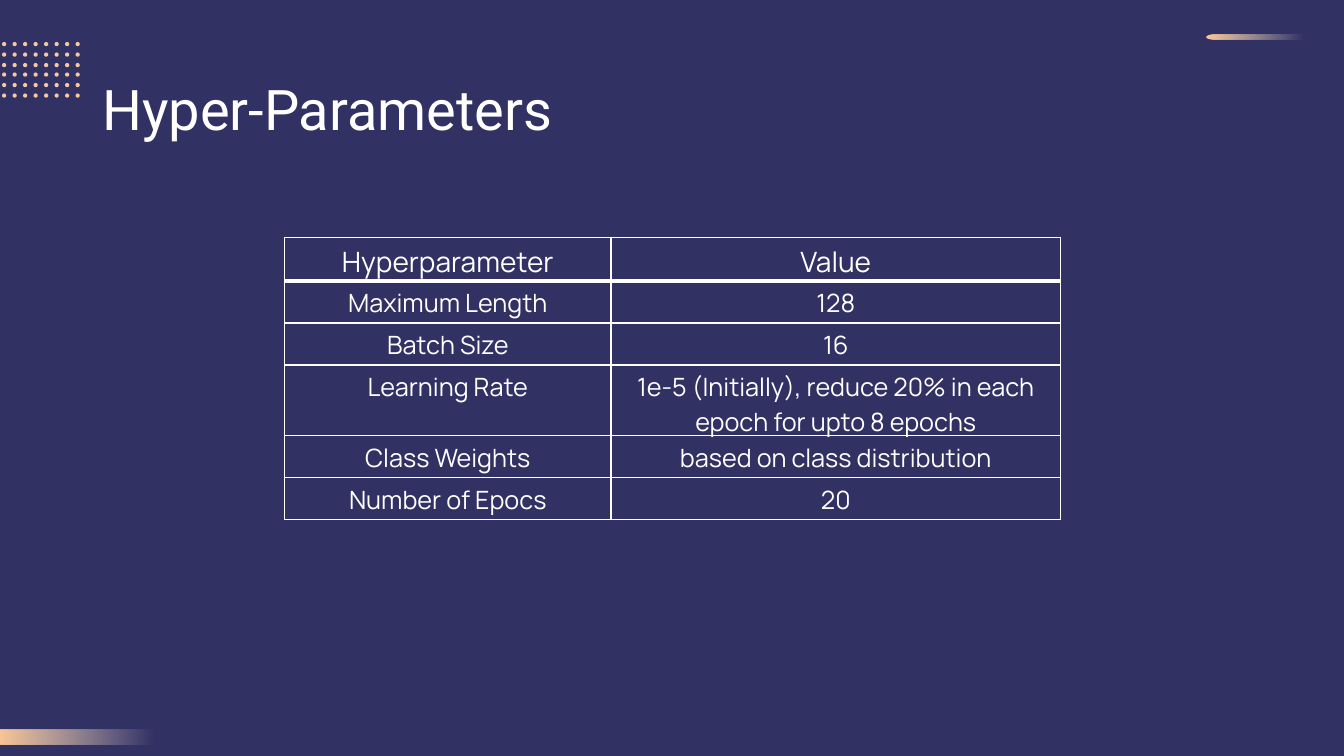
from dataclasses import dataclass
from math import cos, pi, sin

from lxml import etree
from pptx import Presentation
from pptx.dml.color import RGBColor
from pptx.enum.shapes import MSO_SHAPE
from pptx.enum.text import MSO_ANCHOR, PP_ALIGN
from pptx.oxml.ns import qn
from pptx.util import Emu, Pt

RECTANGLE = MSO_SHAPE.RECTANGLE
TOP = MSO_ANCHOR.TOP
MIDDLE = MSO_ANCHOR.MIDDLE
LEFT = PP_ALIGN.LEFT
CENTER = PP_ALIGN.CENTER

EMU_PER_PX = 9525
SLIDE_WIDTH, SLIDE_HEIGHT = 1280, 720
NAVY, WHITE = "323163", "FFFFFF"
APRICOT, CREAM, DOT_COLOR = "FCC896", "F7E7E1", "F7C7A0"
DOT_COLUMNS, DOT_ROWS, DOT_PITCH, DOT_SIZE = 8, 3, 10, 4
DOT_SIDES = 12
COLUMN_WIDTHS = (311, 428)
HEADER_HEIGHT, ROW_HEIGHT = 41, 40
THIN, THICK = 1, 3


@dataclass(frozen=True)
class Box:
    left: int
    top: int
    width: int
    height: int


@dataclass(frozen=True)
class Parameter:
    name: str
    value: str


HEADER = Parameter("Hyperparameter", "Value")
PARAMETERS = (
    Parameter("Maximum Length", "128"),
    Parameter("Batch Size", "16"),
    Parameter("Learning Rate", "1e-5 (Initially), reduce 20% in each epoch for upto 8 epochs"),
    Parameter("Class Weights", "based on class distribution"),
    Parameter("Number of Epocs", "20"),
)
BACKDROP = Box(0, 0, SLIDE_WIDTH, SLIDE_HEIGHT)
BOTTOM_STREAK = Box(-2, 695, 212, 14)
TOP_STREAK = Box(1149, 33, 131, 5)
DOT_BLOCKS = (Box(2, 40, 74, 24), Box(2, 69, 74, 24))
TITLE = Box(88, 38, 1104, 139)
TABLE = Box(271, 226, sum(COLUMN_WIDTHS), HEADER_HEIGHT + ROW_HEIGHT * len(PARAMETERS))


def px(length: float) -> Emu:
    return Emu(round(length * EMU_PER_PX))


def color(value: str) -> RGBColor:
    return RGBColor.from_string(value)


def bounds(box: Box) -> tuple:
    return px(box.left), px(box.top), px(box.width), px(box.height)


def finish(shape) -> None:
    shape.line.fill.background()
    shape.shadow.inherit = False


def fill_solid(shape, value: str) -> None:
    shape.fill.solid()
    shape.fill.fore_color.rgb = color(value)
    finish(shape)


def fill_fade(shape) -> None:
    shape.fill.gradient()
    shape.fill.gradient_angle = 0
    for stop, position, value in zip(shape.fill.gradient_stops, (0, 0.7), (APRICOT, CREAM)):
        stop.position = position
        stop.color.rgb = color(value)
    faded = shape.element.spPr.findall(".//" + qn("a:srgbClr"))[-1]
    etree.SubElement(faded, qn("a:alpha"), val="0")
    finish(shape)


def add_rectangle(slide, box: Box):
    return slide.shapes.add_shape(RECTANGLE, *bounds(box))


def add_outline(slide, contours: list):
    builder = None
    for contour in contours:
        start, *others = [(px(x), px(y)) for x, y in contour]
        if builder is None:
            builder = slide.shapes.build_freeform(*start, scale=1.0)
        else:
            builder.move_to(*start)
        builder.add_line_segments(others, close=True)
    return builder.convert_to_shape()


def add_top_streak(slide, box: Box) -> None:
    radius = box.height / 2
    tip = 8
    right = box.left + box.width
    curve = [
        (box.left + tip - tip * sin(pi * step / 12), box.top + radius - radius * cos(pi * step / 12))
        for step in range(13)
    ]
    outline = curve + [(right, box.top + box.height), (right, box.top)]
    fill_fade(add_outline(slide, [outline]))


def dot_contour(center_x: float, center_y: float) -> list:
    angles = [2 * pi * side / DOT_SIDES for side in range(DOT_SIDES)]
    radius = DOT_SIZE / 2
    return [(center_x + radius * cos(angle), center_y + radius * sin(angle)) for angle in angles]


def add_dots(slide, box: Box) -> None:
    middle = DOT_SIZE / 2
    contours = [
        dot_contour(box.left + middle + column * DOT_PITCH, box.top + middle + row * DOT_PITCH)
        for row in range(DOT_ROWS)
        for column in range(DOT_COLUMNS)
    ]
    fill_solid(add_outline(slide, contours), DOT_COLOR)


def write(paragraph, text: str, font_name: str, size: int, alignment) -> None:
    paragraph.alignment = alignment
    run = paragraph.add_run()
    run.text = text
    run.font.color.rgb = color(WHITE)
    for attribute, value in {"name": font_name, "size": Pt(size), "bold": False}.items():
        setattr(run.font, attribute, value)


def add_title(slide, box: Box, text: str) -> None:
    frame = slide.shapes.add_textbox(*bounds(box)).text_frame
    for attribute, value in {"word_wrap": True, "vertical_anchor": MIDDLE}.items():
        setattr(frame, attribute, value)
    paragraph = frame.paragraphs[0]
    paragraph.line_spacing = 0.9
    write(paragraph, text, "Roboto", 40, LEFT)


def set_borders(cell, widths: dict) -> None:
    properties = cell._tc.get_or_add_tcPr()
    for side, width in widths.items():
        line = etree.SubElement(properties, qn(f"a:ln{side}"), w=str(Pt(width)))
        fill = etree.SubElement(line, qn("a:solidFill"))
        etree.SubElement(fill, qn("a:srgbClr"), val=WHITE)


def add_parameter_table(slide, box: Box) -> None:
    rows = (HEADER, *PARAMETERS)
    table = slide.shapes.add_table(len(rows), len(COLUMN_WIDTHS), *bounds(box)).table
    for attribute in ("first_row", "horz_banding"):
        setattr(table, attribute, False)
    for column, width in zip(table.columns, COLUMN_WIDTHS):
        column.width = px(width)
    for row_index, parameter in enumerate(rows):
        is_header = row_index == 0
        table.rows[row_index].height = px(HEADER_HEIGHT if is_header else ROW_HEIGHT)
        widths = {
            "L": THIN,
            "R": THIN,
            "T": THICK if row_index == 1 else THIN,
            "B": THICK if is_header else THIN,
        }
        for column_index, text in enumerate((parameter.name, parameter.value)):
            cell = table.cell(row_index, column_index)
            cell.vertical_anchor = TOP if is_header or column_index == 0 else MIDDLE
            set_borders(cell, widths)
            cell.fill.background()
            write(cell.text_frame.paragraphs[0], text, "Manrope", 20 if is_header else 18, CENTER)


def main() -> None:
    presentation = Presentation()
    presentation.slide_width = px(SLIDE_WIDTH)
    presentation.slide_height = px(SLIDE_HEIGHT)
    slide = presentation.slides.add_slide(presentation.slide_layouts[6])
    fill_solid(add_rectangle(slide, BACKDROP), NAVY)
    fill_fade(add_rectangle(slide, BOTTOM_STREAK))
    add_top_streak(slide, TOP_STREAK)
    for block in DOT_BLOCKS:
        add_dots(slide, block)
    add_title(slide, TITLE, "Hyper-Parameters")
    add_parameter_table(slide, TABLE)
    presentation.save("out.pptx")


if __name__ == "__main__":
    main()
